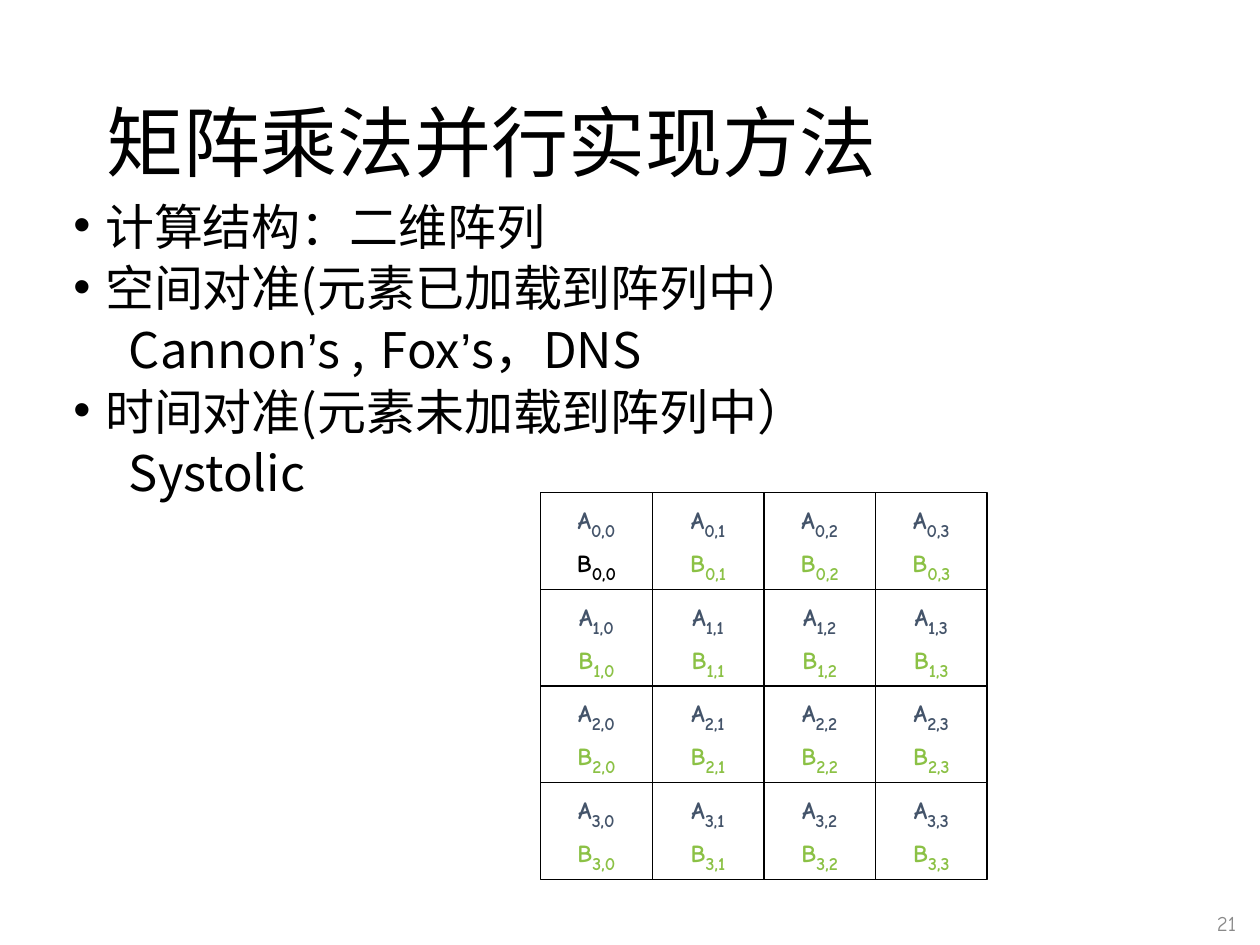
from lxml import etree
from pptx import Presentation
from pptx.dml.color import RGBColor
from pptx.enum.shapes import MSO_SHAPE
from pptx.enum.text import MSO_ANCHOR, MSO_AUTO_SIZE, PP_ALIGN
from pptx.oxml.ns import qn
from pptx.util import Cm, Pt

RECTANGLE = MSO_SHAPE.RECTANGLE
MIDDLE = MSO_ANCHOR.MIDDLE
NO_AUTOFIT = MSO_AUTO_SIZE.NONE
LEFT, CENTER, RIGHT = PP_ALIGN.LEFT, PP_ALIGN.CENTER, PP_ALIGN.RIGHT

BLACK, NAVY, GREEN, GRAY = "000000", "44546A", "8BC145", "898989"
GRID_SIZE = 4
GRID_LEFT, GRID_TOP = 10.9, 9.93
CELL_WIDTH, CELL_HEIGHT = 2.25, 1.95


def color(value):
    return RGBColor.from_string(value)


class SlideBuilder:
    title_font = "Calibri"
    body_font = "Noto Sans CJK JP"
    quote_font = "Arial"
    label_font = "Comic Neue"

    def __init__(self, slide):
        self.slide = slide

    def place(self, shape, left, top, width, height):
        shape.left, shape.top = Cm(left), Cm(top)
        shape.width, shape.height = Cm(width), Cm(height)

    def style(self, font, name, size, value):
        font.name, font.size = name, Pt(size)
        font.color.rgb = color(value)

    def title(self, text, *bounds):
        box = self.slide.shapes.title
        self.place(box, *bounds)
        frame = box.text_frame
        frame.text = text
        frame.auto_size = NO_AUTOFIT
        frame.vertical_anchor = MIDDLE
        para = frame.paragraphs[0]
        para.alignment, para.line_spacing = LEFT, 0.9
        self.style(para.font, self.title_font, 44, BLACK)

    def body(self, items, *bounds):
        box = self.slide.placeholders[1]
        self.place(box, *bounds)
        frame = box.text_frame
        frame.auto_size = NO_AUTOFIT
        frame.margin_left = frame.margin_right = Cm(0.18)
        frame.margin_top = frame.margin_bottom = Cm(0.08)
        for index, (bulleted, text) in enumerate(items):
            para = frame.paragraphs[0] if index == 0 else frame.add_paragraph()
            para.line_spacing = 0.78
            para.space_before = Pt(9 if index else 0)
            self.indent(para, bulleted)
            self.style(para.font, self.body_font, 28, BLACK)
            self.quoted_text(para, text)

    def indent(self, para, bulleted):
        properties = para._p.get_or_add_pPr()
        properties.set("marL", str(Cm(0.64 if bulleted else 1.12)))
        properties.set("indent", str(Cm(-0.64 if bulleted else 0)))
        if not bulleted:
            etree.SubElement(properties, qn("a:buNone"))
            tabs = etree.SubElement(properties, qn("a:tabLst"))
            etree.SubElement(tabs, qn("a:tab"), pos=str(Cm(6.55)), algn="l")

    def quoted_text(self, para, text):
        """Add the text with its apostrophes in their own font."""
        for index, part in enumerate(text.split("’")):
            if index:
                quote = para.add_run()
                quote.text = "’"
                quote.font.name = self.quote_font
            span = para.add_run()
            span.text = part

    def page_number(self, text, *bounds):
        box = self.slide.shapes.add_textbox(*(Cm(value) for value in bounds))
        frame = box.text_frame
        frame.word_wrap = True
        frame.vertical_anchor = MIDDLE
        para = frame.paragraphs[0]
        para.text, para.alignment = text, RIGHT
        self.style(para.font, self.label_font, 12, GRAY)

    def matrix_cell(self, group, row, column):
        cell = group.shapes.add_shape(
            RECTANGLE,
            Cm(GRID_LEFT + column * CELL_WIDTH), Cm(GRID_TOP + row * CELL_HEIGHT),
            Cm(CELL_WIDTH), Cm(CELL_HEIGHT))
        cell.shadow.inherit = False
        cell.fill.background()
        cell.line.color.rgb = color(BLACK)
        cell.line.width = Pt(0.75)
        frame = cell.text_frame
        frame.word_wrap = False
        frame.vertical_anchor = MIDDLE
        b_color = BLACK if row == column == 0 else GREEN
        self.element(frame.paragraphs[0], "A", f"{row},{column}", NAVY)
        self.element(frame.add_paragraph(), "B", f"{row},{column}", b_color)

    def element(self, para, letter, subscript, value):
        para.alignment = CENTER
        for text, size, baseline in ((letter, 14, 0), (subscript, 18, -25000)):
            span = para.add_run()
            span.text = text
            self.style(span.font, self.label_font, size, value)
            span.font.bold = True
            if baseline:
                span._r.get_or_add_rPr().set("baseline", str(baseline))

    def matrix(self):
        group = self.slide.shapes.add_group_shape()
        for column in range(GRID_SIZE):
            for row in range(GRID_SIZE):
                self.matrix_cell(group, row, column)


def main():
    deck = Presentation()
    deck.slide_width, deck.slide_height = Cm(25.4), Cm(19.05)
    page = SlideBuilder(deck.slides.add_slide(deck.slide_layouts[1]))

    # Title and list
    page.title("矩阵乘法并行实现方法", 1.9, 1.9, 21.8, 2.12)
    page.body([
        (True, "计算结构：二维阵列"),
        (True, "空间对准(元素已加载到阵列中）"),
        (False, "Cannon’s ,\tFox’s，DNS"),
        (True, "时间对准(元素未加载到阵列中）"),
        (False, "Systolic"),
    ], 1.3, 4.12, 18.4, 9.88)

    # Page number
    page.page_number("21", 19.9, 17.98, 5.27, 1.27)

    # Processor array with its matrix elements
    page.matrix()

    deck.save("out.pptx")


if __name__ == "__main__":
    main()
